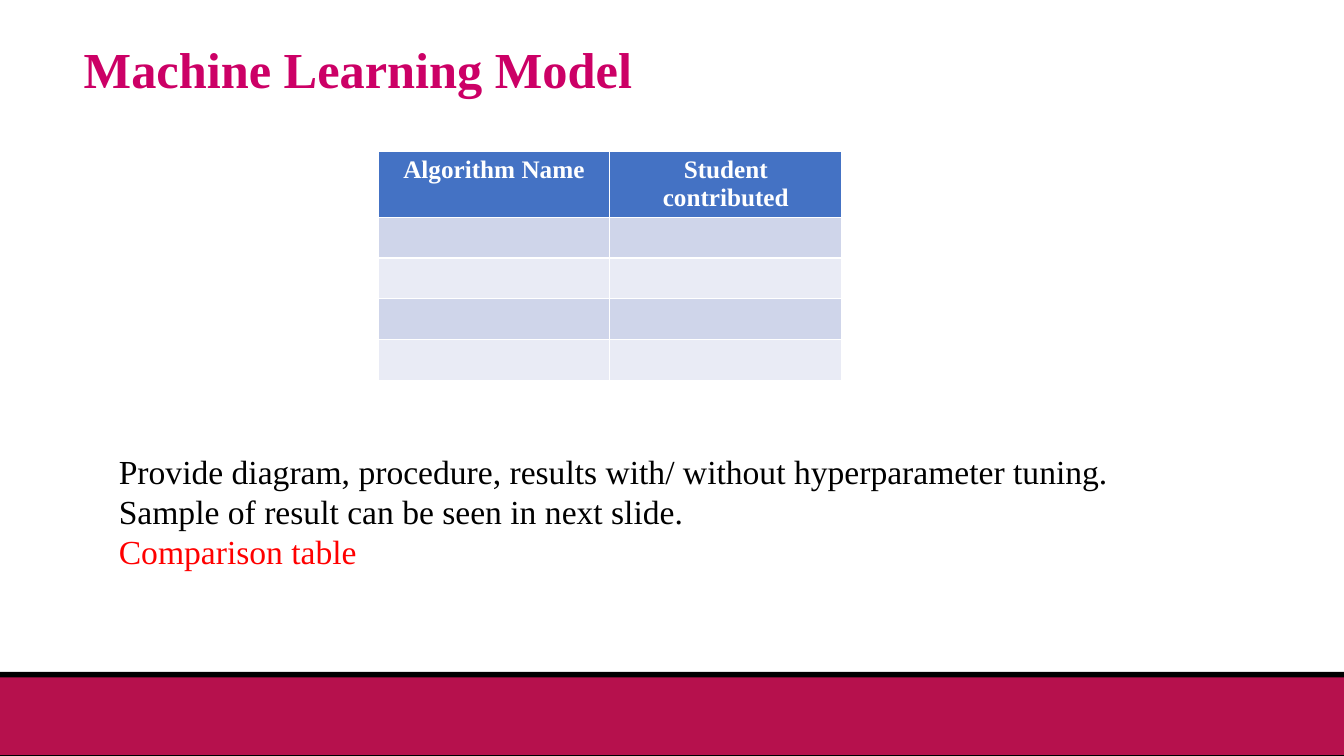
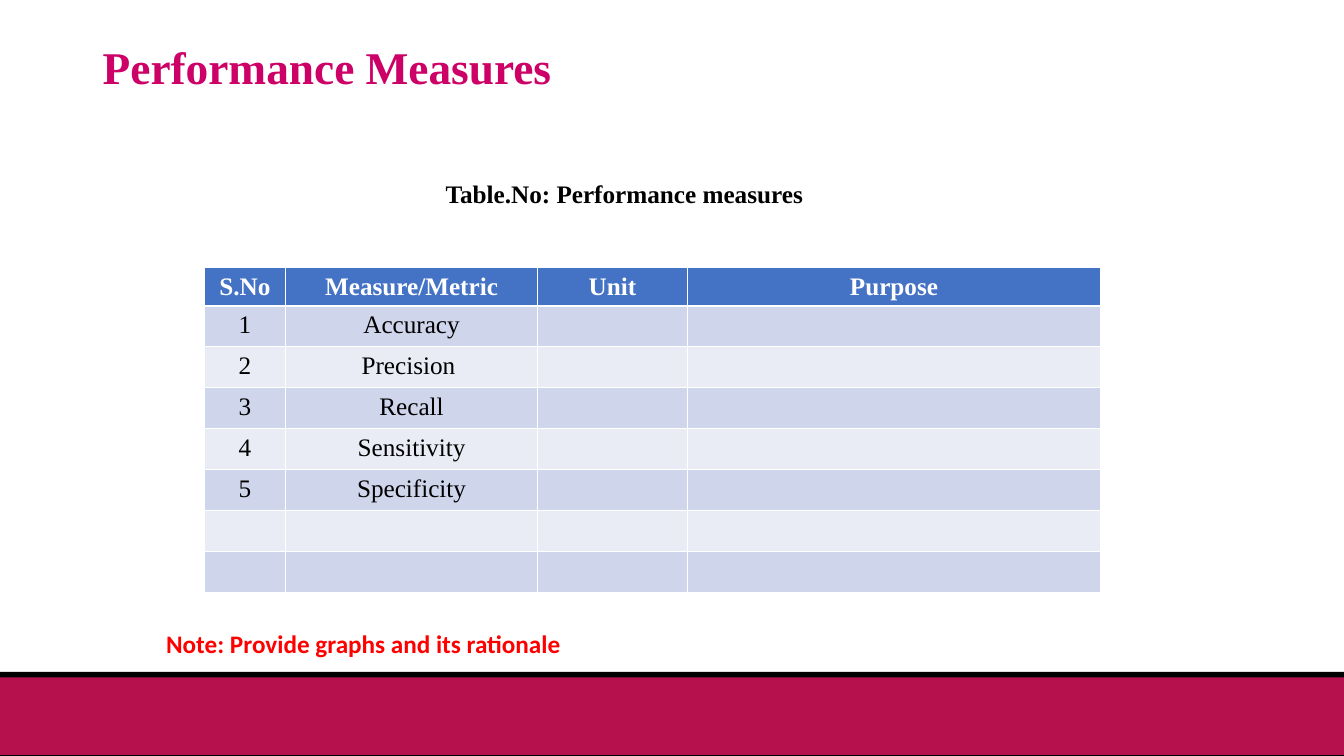
"""Build two slides on machine learning models and their performance measures."""
from pptx import Presentation
from pptx.dml.color import RGBColor
from pptx.enum.shapes import MSO_SHAPE as Shape
from pptx.enum.text import MSO_ANCHOR as Anchor, PP_ALIGN as Align
from pptx.util import Pt

WIDTH, HEIGHT = 960, 540
SERIF = "Times New Roman"
BLACK, WHITE, RED, PINK = "000000", "FFFFFF", "FF0000", "CC0066"
HEADER_BLUE, ROW_SHADES = "4472C4", ("CFD5EA", "E9EBF5")
FOOTER_BANDS = [(480, 60.2, BLACK), (483.8, 55.4, "B6114D")]
ROW_HEIGHT = 29.2

SLIDES = [
    {
        "title": ("Machine Learning Model", 36, (52.6, 25.2, 828, 53.3)),
        "table": {
            "origin": (270, 108),
            "columns": [165.6, 165.6],
            "header_height": 46.2,
            "rows": [("Algorithm Name", "Student contributed")] + [("", "")] * 4,
        },
        "notes": [
            ((77.8, 318.2, 727.2, 94.3), [
                ("Provide diagram, procedure, results with/ without hyperparameter tuning.",
                 {"size": 24}),
                ("Sample of result can be seen in next slide.", {"size": 24}),
                ("Comparison table", {"size": 24, "color": RED}),
            ]),
        ],
    },
    {
        "title": ("Performance Measures", 32.4, (66.2, 28.8, 828, 41.8)),
        "table": {
            "origin": (146.2, 191.2),
            "columns": [57.6, 180.4, 106.6, 295.6],
            "header_height": 27.4,
            "rows": [
                ("S.No", "Measure/Metric", "Unit", "Purpose"),
                ("1", "Accuracy", "", ""),
                ("2", "Precision ", "", ""),
                ("3", "Recall", "", ""),
                ("4", "Sensitivity", "", ""),
                ("5", "Specificity", "", ""),
                ("", "", "", ""),
                ("", "", "", ""),
            ],
        },
        "notes": [
            ((205.9, 123.8, 480.2, 29), [
                ("Table.No: Performance measures", {"bold": True, "align": Align.CENTER}),
            ]),
            ((111.6, 445, 480.2, 29), [
                ("Note: Provide graphs and its rationale",
                 {"bold": True, "color": RED, "font": "Calibri"}),
            ]),
        ],
    },
]


def rgb(color):
    """Turn a hex string into a colour."""
    return RGBColor.from_string(color)


def write(paragraph, text, size=18, color=BLACK, bold=False, font=SERIF, align=Align.LEFT):
    """Put formatted text in a paragraph."""
    paragraph.alignment = align
    run = paragraph.add_run()
    run.text = text
    run.font.name, run.font.size, run.font.bold = font, Pt(size), bold
    run.font.color.rgb = rgb(color)


def add_footer_bands(slide, layout):
    """Draw the footer bands and move them to the back of the layout."""
    for index, (top, height, color) in enumerate(FOOTER_BANDS):
        band = slide.shapes.add_shape(Shape.RECTANGLE, 0, Pt(top), Pt(WIDTH), Pt(height))
        band.shadow.inherit = False
        band.fill.solid()
        band.fill.fore_color.rgb = rgb(color)
        band.line.fill.background()
        layout.shapes.element.insert(2 + index, band.element)


def add_title(slide, text, size, box):
    """Place and fill the title placeholder."""
    title = slide.shapes.title
    title.left, title.top, title.width, title.height = map(Pt, box)
    title.text_frame.vertical_anchor = Anchor.MIDDLE
    heading = title.text_frame.paragraphs[0]
    heading.line_spacing = 0.9
    write(heading, text, size=size, color=PINK, bold=True)


def add_table(slide, origin, columns, header_height, rows):
    """Add a table with a blue header and alternating row shades."""
    heights = [header_height] + [ROW_HEIGHT] * (len(rows) - 1)
    table = slide.shapes.add_table(len(rows), len(columns), *map(Pt, origin),
                                   Pt(sum(columns)), Pt(sum(heights))).table
    for column, width in zip(table.columns, columns):
        column.width = Pt(width)
    for r, (texts, height) in enumerate(zip(rows, heights)):
        table.rows[r].height = Pt(height)
        header = r == 0
        for c, text in enumerate(texts):
            cell = table.cell(r, c)
            cell.fill.solid()
            cell.fill.fore_color.rgb = rgb(HEADER_BLUE if header else ROW_SHADES[(r - 1) % 2])
            if text:
                write(cell.text_frame.paragraphs[0], text, bold=header,
                      color=WHITE if header else BLACK, align=Align.CENTER)


def add_note(slide, box, lines):
    """Add a text box with one paragraph per line."""
    frame = slide.shapes.add_textbox(*map(Pt, box)).text_frame
    frame.word_wrap = True
    for index, (text, style) in enumerate(lines):
        paragraph = frame.add_paragraph() if index else frame.paragraphs[0]
        write(paragraph, text, **style)


def main():
    """Build and save the presentation."""
    deck = Presentation()
    deck.slide_width, deck.slide_height = Pt(WIDTH), Pt(HEIGHT)
    layout = deck.slide_layouts[5]
    for index, content in enumerate(SLIDES):
        slide = deck.slides.add_slide(layout)
        if index == 0:
            add_footer_bands(slide, layout)
        add_title(slide, *content["title"])
        add_table(slide, **content["table"])
        for box, lines in content["notes"]:
            add_note(slide, box, lines)
    deck.save("out.pptx")


if __name__ == "__main__":
    main()
